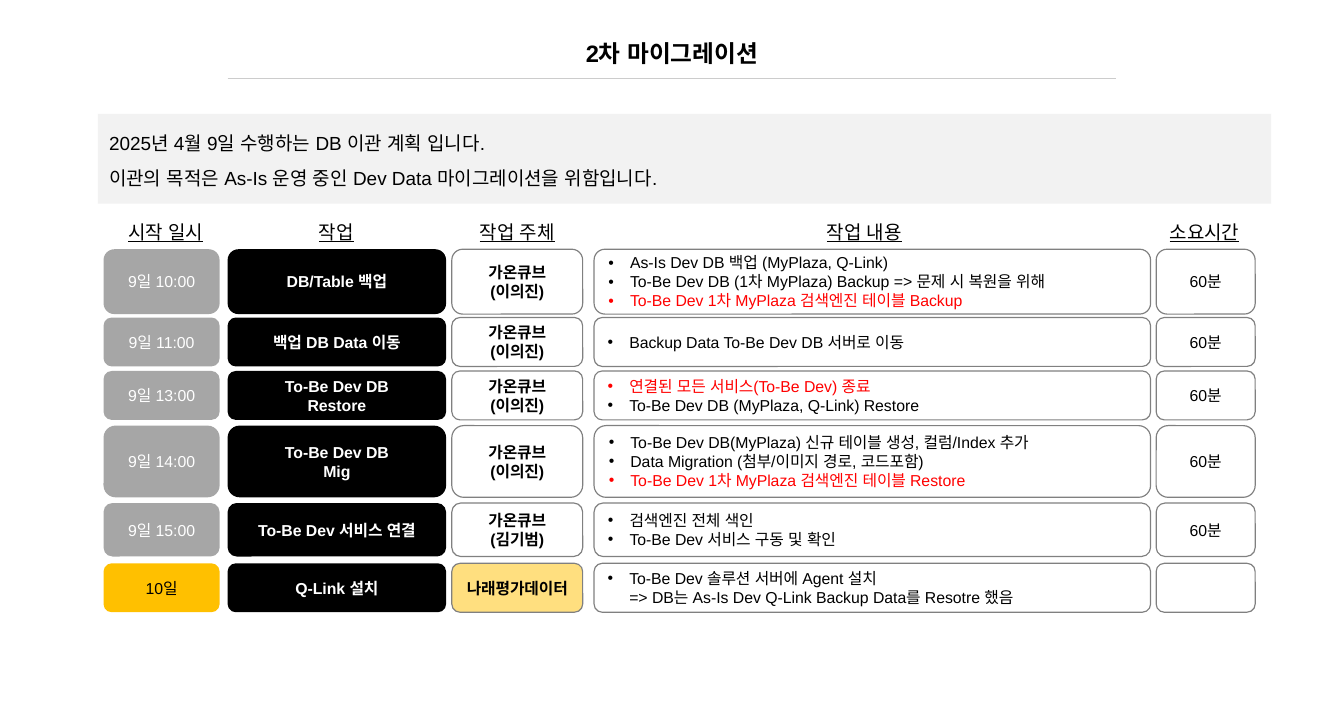
from lxml import etree
from pptx import Presentation
from pptx.dml.color import RGBColor
from pptx.enum.shapes import MSO_SHAPE
from pptx.enum.text import MSO_ANCHOR, PP_ALIGN
from pptx.oxml.ns import qn
from pptx.util import Inches, Pt

RECT, ROUND = MSO_SHAPE.RECTANGLE, MSO_SHAPE.ROUNDED_RECTANGLE
TOP, MIDDLE = MSO_ANCHOR.TOP, MSO_ANCHOR.MIDDLE
LEFT, CENTER = PP_ALIGN.LEFT, PP_ALIGN.CENTER

COLORS = {
    "black": "000000", "white": "FFFFFF", "red": "FF0000", "gray": "A6A6A6",
    "pale": "F2F2F2", "rule": "CCCCCC", "edge": "808080", "gold": "FFC000",
}


def write(shape, text, size, color="black", bold=False, align=CENTER, anchor=MIDDLE):
    frame = shape.text_frame
    frame.text = text
    frame.word_wrap = True
    frame.vertical_anchor = anchor
    for para in frame.paragraphs:
        para.alignment = align
        for run in para.runs:
            run.font.size = Pt(size)
            run.font.bold = bold
            run.font.color.rgb = RGBColor.from_string(COLORS[color])
            run.font.name = "Arial"
            etree.SubElement(run.font._element, qn("a:ea"), typeface="Arial")


def box(kind, left, top, width, height, fill, framed=False):
    shape = slide.shapes.add_shape(
        kind, Inches(left), Inches(top), Inches(width), Inches(height))
    shape.shadow.inherit = False
    shape.fill.solid()
    shape.fill.fore_color.rgb = RGBColor.from_string(COLORS[fill])
    if framed:
        tint = shape.fill._xPr.find(qn("a:solidFill"))[0]
        etree.SubElement(tint, qn("a:alpha"), val="50000")
        shape.line.color.rgb = RGBColor.from_string(COLORS["edge"])
        shape.line.width = Pt(0.75)
    else:
        shape.line.fill.background()
    return shape


deck = Presentation()
deck.slide_width, deck.slide_height = Inches(11.81), Inches(6.3)
slide = deck.slides.add_slide(deck.slide_layouts[6])

table = slide.shapes.add_table(
    1, 1, Inches(2), Inches(0.26), Inches(7.81), Inches(0.35)).table
table.first_row = table.horz_banding = False
title = table.cell(0, 0)
write(title, "2차 마이그레이션", 15, bold=True)
title.vertical_anchor = MIDDLE
title.margin_left = title.margin_right = Inches(0.1)
title.margin_top = title.margin_bottom = Inches(0.1)
props = title._tc.get_or_add_tcPr()
for side in "LRTB":
    edge = etree.SubElement(props, qn("a:ln" + side), w=str(Pt(0.75)))
    if side == "B":
        paint = etree.SubElement(edge, qn("a:solidFill"))
        etree.SubElement(paint, qn("a:srgbClr"), val=COLORS["rule"])
    else:
        etree.SubElement(edge, qn("a:noFill"))
title.fill.background()

intro = box(RECT, 0.86, 1, 10.31, 0.79, "pale")
write(intro, "2025년 4월 9일 수행하는 DB 이관 계획 입니다.\n"
      "이관의 목적은 As-Is 운영 중인 Dev Data 마이그레이션을 위함입니다.",
      12, align=LEFT, anchor=TOP)
for para in intro.text_frame.paragraphs:
    para.line_spacing = Pt(22)

heads = [(0.88, "시작 일시"), (2.38, "작업"), (3.97, "작업 주체"),
         (7.02, "작업 내용"), (10.01, "소요시간")]
for left, text in heads:
    head = slide.shapes.add_textbox(Inches(left), Inches(1.89), Inches(1.15), Inches(0.3))
    write(head, text, 12, anchor=TOP)
    head.text_frame.paragraphs[0].runs[0].font.underline = True

rows = [
    (2.19, 0.57, "9일 10:00", "DB/Table 백업", "가온큐브\n(이의진)",
     ["As-Is Dev DB 백업 (MyPlaza, Q-Link)",
      "To-Be Dev DB (1차 MyPlaza) Backup => 문제 시 복원을 위해",
      "To-Be Dev 1차 MyPlaza 검색엔진 테이블 Backup"], 2, "60분"),
    (2.79, 0.43, "9일 11:00", "백업 DB Data 이동", "가온큐브\n(이의진)",
     ["Backup Data To-Be Dev DB 서버로 이동"], None, "60분"),
    (3.26, 0.43, "9일 13:00", "To-Be Dev DB\nRestore", "가온큐브\n(이의진)",
     ["연결된 모든 서비스(To-Be Dev) 종료",
      "To-Be Dev DB (MyPlaza, Q-Link) Restore"], 0, "60분"),
    (3.74, 0.63, "9일 14:00", "To-Be Dev DB\nMig", "가온큐브\n(이의진)",
     ["To-Be Dev DB(MyPlaza) 신규 테이블 생성, 컬럼/Index 추가",
      "Data Migration (첨부/이미지 경로, 코드포함)",
      "To-Be Dev 1차 MyPlaza 검색엔진 테이블 Restore"], 2, "60분"),
    (4.42, 0.47, "9일 15:00", "To-Be Dev 서비스 연결", "가온큐브\n(김기범)",
     ["검색엔진 전체 색인", "To-Be Dev 서비스 구동 및 확인"], None, "60분"),
    (4.95, 0.43, "10일", "Q-Link 설치", "나래평가데이터",
     ["To-Be Dev 솔루션 서버에 Agent 설치\v"
      "=> DB는 As-Is Dev Q-Link Backup Data를 Resotre 했음"], None, ""),
]

for top, high, start, task, owner, steps, alert, span in rows:
    last = start == "10일"
    write(box(ROUND, 0.91, top, 1.02, high, "gold" if last else "gray"),
          start, 10, "black" if last else "white")
    write(box(ROUND, 2, top, 1.92, high, "black"), task, 10, "white", True)
    write(box(ROUND, 3.97, top, 1.15, high, "gold" if last else "white", True),
          owner, 10, bold=True)
    work = box(ROUND, 5.22, top, 4.89, high, "white", True)
    write(work, "\n".join(steps), 10, align=LEFT)
    for index, para in enumerate(work.text_frame.paragraphs):
        props = para._p.get_or_add_pPr()
        props.set("marL", str(Inches(0.19)))
        props.set("indent", str(-Inches(0.19)))
        etree.SubElement(props, qn("a:buFont"), typeface="Arial")
        etree.SubElement(props, qn("a:buChar"), char="•")
        if index == alert:
            para.runs[0].font.color.rgb = RGBColor.from_string(COLORS["red"])
    write(box(ROUND, 10.16, top, 0.87, high, "white", True), span, 10)

deck.save("out.pptx")
